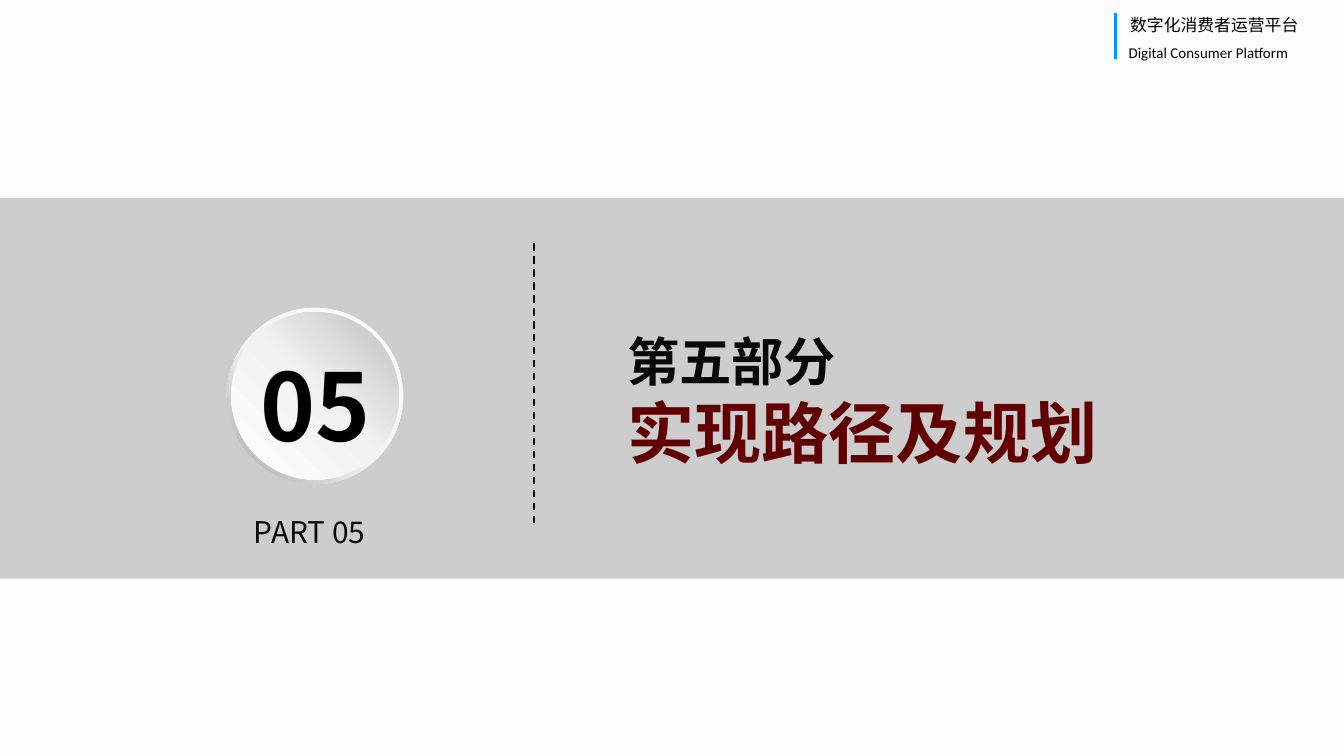
import pptx
import pptx.dml.color
import pptx.enum.dml
import pptx.enum.shapes
import pptx.enum.text
import pptx.oxml.ns
import pptx.util
from lxml import etree

Cm = pptx.util.Cm
Pt = pptx.util.Pt
qn = pptx.oxml.ns.qn
MSO_SHAPE = pptx.enum.shapes.MSO_SHAPE
ALIGN = pptx.enum.text.PP_ALIGN

HEADING_FONT = "Noto Sans CJK SC"
BODY_FONT = "Calibri"
INK = "080808"


def color(hex_text):
    return pptx.dml.color.RGBColor.from_string(hex_text)


def apply_format(target, values):
    for name, value in values.items():
        setattr(target, name, value)


def prepare_frame(frame, margins=(0, 0), wrap=True):
    """Set the horizontal and vertical margins in cm, anchored at the top."""
    across, down = (Cm(margin) for margin in margins)
    apply_format(frame, {
        "margin_left": across, "margin_right": across,
        "margin_top": down, "margin_bottom": down,
        "word_wrap": wrap,
        "auto_size": pptx.enum.text.MSO_AUTO_SIZE.NONE,
        "vertical_anchor": pptx.enum.text.MSO_ANCHOR.TOP,
    })


def write(paragraph, text, font, size, fill, bold=False, spacing=None, align=ALIGN.LEFT):
    apply_format(paragraph, {"alignment": align})
    if spacing:
        paragraph.line_spacing = Pt(spacing)
    run = paragraph.add_run()
    run.text = text
    apply_format(run.font, {"name": font, "size": Pt(size), "bold": bold})
    run.font.color.rgb = color(fill)
    if font == HEADING_FONT:
        east_asian = etree.SubElement(run.font._element, qn("a:ea"))
        east_asian.set("typeface", font)


def add_label(slide, box, text, margins=(0, 0), **style):
    text_box = slide.shapes.add_textbox(*map(Cm, box))
    prepare_frame(text_box.text_frame, margins)
    write(text_box.text_frame.paragraphs[0], text, **style)


def add_vertical_line(slide, x, top, height, fill, width, dash=None):
    line = slide.shapes.add_connector(
        pptx.enum.shapes.MSO_CONNECTOR.STRAIGHT,
        Cm(x), Cm(top), Cm(x), Cm(top + height))
    line.line.color.rgb = color(fill)
    apply_format(line.line, {"width": Pt(width), "dash_style": dash})
    etree.SubElement(line._element.spPr, qn("a:effectLst"))


def add_plain_shape(slide, kind, box):
    shape = slide.shapes.add_shape(kind, *map(Cm, box))
    shape.shadow.inherit = False
    shape.line.fill.background()
    return shape


def fill_gradient(shape, stops, angle):
    shape.fill.gradient()
    shape.fill.gradient_angle = angle
    stop_list = shape._element.spPr.find(".//" + qn("a:gsLst"))
    for stop in list(stop_list):
        stop_list.remove(stop)
    for percent, fill in stops:
        stop = etree.SubElement(stop_list, qn("a:gs"), pos=str(percent * 1000))
        etree.SubElement(stop, qn("a:srgbClr"), val=fill)


def add_corner_mark(slide, left, top):
    add_vertical_line(slide, left, top + 0.1, 0.87, "0099FF", 1.5)
    lines = [(0.03, 0, "数字化消费者运营平台", 9),
             (0, 0.54, "Digital Consumer Platform", 8)]
    for shift, drop, text, size in lines:
        add_label(slide, (left + shift, top + drop, 3.97, 0.63), text, (0.25, 0.13),
                  font=BODY_FONT, size=size, fill="000000", align=ALIGN.JUSTIFY)


def add_band(slide, box):
    band = add_plain_shape(slide, MSO_SHAPE.RECTANGLE, box)
    band.fill.solid()
    band.fill.fore_color.rgb = color("BFBFBF")
    fill = band._element.spPr.find(".//" + qn("a:srgbClr"))
    etree.SubElement(fill, qn("a:alpha"), val="77000")


def add_number_badge(slide, left, top, size, number):
    ring = add_plain_shape(slide, MSO_SHAPE.DONUT, (left, top, size, size))
    ring.adjustments[0] = 0.05
    fill_gradient(ring, [(0, "FFFFFF"), (55, "F2F2F2"), (100, "A6A6A6")], 225)

    inset = 0.08
    inner = size - 2 * inset
    disc = add_plain_shape(slide, MSO_SHAPE.OVAL, (left + inset, top + inset, inner, inner))
    fill_gradient(disc, [(0, "FFFFFF"), (51, "F2F2F2"), (100, "BFBFBF")], 45)

    add_label(slide, (left + 0.64, top + 0.58, 2.51, 2.13), number,
              font=HEADING_FONT, size=50, fill="000000", bold=True, spacing=65)
    add_label(slide, (left + 0.51, top + 3.83, 2.51, 0.69), f"PART {number}",
              font=HEADING_FONT, size=16, fill=INK, spacing=21)


def place_title(slide, box, part, heading):
    title = slide.shapes.title
    left, top, width, height = map(Cm, box)
    apply_format(title, {"left": left, "top": top, "width": width, "height": height})
    # The placeholder comes first in the tree, so bring it in front of the band.
    title._element.getparent().append(title._element)

    frame = title.text_frame
    prepare_frame(frame, (0.25, 0.13), wrap=False)
    first = frame.paragraphs[0]
    write(first, part, HEADING_FONT, 28, INK, True, 37)
    first._p.get_or_add_pPr().set("marL", str(Cm(0.1)))
    write(frame.add_paragraph(), heading, HEADING_FONT, 36, "600001", True, 43)


def add_section_slide(presentation, number, part, heading):
    slide = presentation.slides.add_slide(presentation.slide_layouts[5])
    slide.background.fill.solid()
    slide.background.fill.fore_color.rgb = color("FCFCFC")

    band_top = 3.74
    add_corner_mark(slide, 21.08, 0.15)
    add_band(slide, (0, band_top, 25.4, 7.2))
    add_vertical_line(slide, 10.1, band_top + 0.86, 5.3, INK, 1,
                      pptx.enum.dml.MSO_LINE.DASH)
    add_number_badge(slide, 4.29, band_top + 2.08, 3.33, number)
    place_title(slide, (11.5, band_top + 2.23, 9.5, 3), part, heading)


def main():
    presentation = pptx.Presentation()
    apply_format(presentation, {"slide_width": Cm(25.4), "slide_height": Cm(14.29)})
    add_section_slide(presentation, "05", "第五部分", "实现路径及规划")
    presentation.save("out.pptx")


if __name__ == "__main__":
    main()
